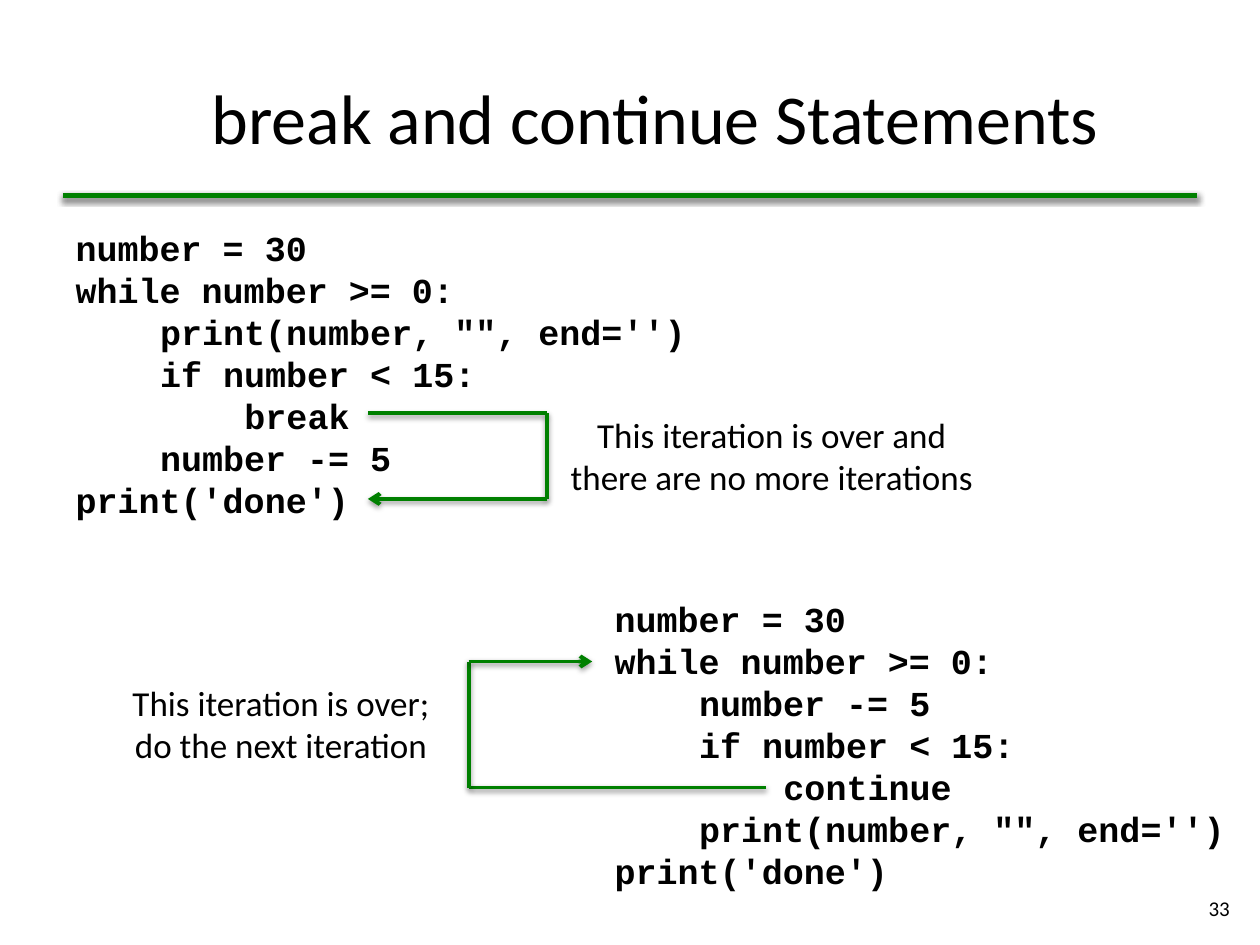
from lxml.etree import SubElement
from pptx import Presentation
from pptx.dml.color import RGBColor
from pptx.enum.shapes import MSO_CONNECTOR as Conn
from pptx.enum.text import MSO_ANCHOR as Anchor, MSO_AUTO_SIZE as Auto, PP_ALIGN as Align
from pptx.oxml.ns import qn
from pptx.util import Inches, Pt

BLACK = RGBColor(0, 0, 0)
GREEN = RGBColor(0, 0x80, 0)
PURPLE = RGBColor(0x66, 0x33, 0x66)
SANS, MONO = "Calibri", "Courier New"
STEP = 0.67  # one level of code, four characters wide

# Content: code lines are (level, text)
TITLE = "break and continue Statements"
BREAK = [
    (0, "number = 30"),
    (0, "while number >= 0:"),
    (1, "print(number, \"\", end='')"),
    (1, "if number < 15:"),
    (2, "break"),
    (1, "number -= 5"),
    (0, "print('done')"),
]
CONTINUE = [
    (0, "number = 30"),
    (0, "while number >= 0:"),
    (1, "number -= 5"),
    (1, "if number < 15:"),
    (2, "continue"),
    (1, "print(number, \"\", end='')"),
    (0, "print('done')"),
]
NOTES = [
    ("This iteration is over and there are no more iterations", (4.35, 3.23, 3.55, 0.77)),
    ("This iteration is over; do the next iteration", (0.83, 5.36, 2.8, 0.77)),
]
# Paths of the jumps; the last leg carries the arrow
JUMPS = [
    [(2.92, 3.28), (4.34, 3.28), (4.34, 3.96), (2.92, 3.96)],
    [(6.08, 6.25), (3.72, 6.25), (3.72, 5.25), (4.7, 5.25)],
]

prs = Presentation()
prs.slide_width, prs.slide_height = Inches(10), Inches(7.5)
slide = prs.slides.add_slide(prs.slide_layouts[1])
shapes = slide.shapes


def put(text, box, shape=None, font=SANS, size=20, bold=False,
        align=Align.LEFT, anchor=Anchor.TOP, pitch=None):
    """Fill a placeholder or a new text box with a string or (level, text) lines."""
    box = [Inches(v) for v in box]
    if shape is None:
        shape = shapes.add_textbox(*box)
    shape.left, shape.top, shape.width, shape.height = box
    frame = shape.text_frame
    frame.word_wrap, frame.auto_size = True, Auto.NONE
    frame.vertical_anchor = anchor
    lines = [(0, text)] if isinstance(text, str) else text
    for i, (level, words) in enumerate(lines):
        para = frame.paragraphs[0] if i == 0 else frame.add_paragraph()
        para.alignment = align
        para.space_before = para.space_after = Pt(0)
        if pitch:
            para.line_spacing = Pt(pitch)
        props = para._p.get_or_add_pPr()
        props.set("marL", str(Inches(level * STEP)))
        props.set("indent", "0")
        SubElement(props, qn("a:buNone"))
        run = para.add_run()
        run.text = words
        run.font.name, run.font.size, run.font.bold = font, Pt(size), bold
        run.font.color.rgb = BLACK


def draw(start, end, color=GREEN, width=2.25, arrow=False):
    """Draw a straight line with a soft shadow below it."""
    line = shapes.add_connector(Conn.STRAIGHT, *map(Inches, start + end))
    line.line.color.rgb, line.line.width = color, Pt(width)
    if arrow:
        SubElement(line.line._get_or_add_ln(), qn("a:tailEnd"), type="arrow")
    effects = SubElement(line._element.spPr, qn("a:effectLst"))
    shade = SubElement(effects, qn("a:outerShdw"), blurRad=str(Pt(3.1)),
                       dist=str(Pt(1.6)), dir="5400000", rotWithShape="0")
    tint = SubElement(shade, qn("a:srgbClr"), val="000000")
    SubElement(tint, qn("a:alpha"), val="38000")


# Title and its rule
put(TITLE, (1.58, 0.3, 8.27, 1.25), shapes.title, size=40, anchor=Anchor.MIDDLE)
for color in (PURPLE, GREEN):
    draw((0.5, 1.55), (9.5, 1.55), color, 3)

# Code
code = dict(font=MONO, bold=True, pitch=24)
put(BREAK, (0.5, 1.75, 9, 5.26), slide.placeholders[1], **code)
put(CONTINUE, (4.78, 4.69, 5.07, 2.51), **code)

# Jumps and their notes
for points in JUMPS:
    for start, end in zip(points, points[1:]):
        draw(start, end, arrow=end == points[-1])
for text, box in NOTES:
    put(text, box, align=Align.CENTER)

# Slide number
put("33", (9.46, 7.01, 0.4, 0.4), size=12, align=Align.RIGHT, anchor=Anchor.MIDDLE)

prs.save("out.pptx")
